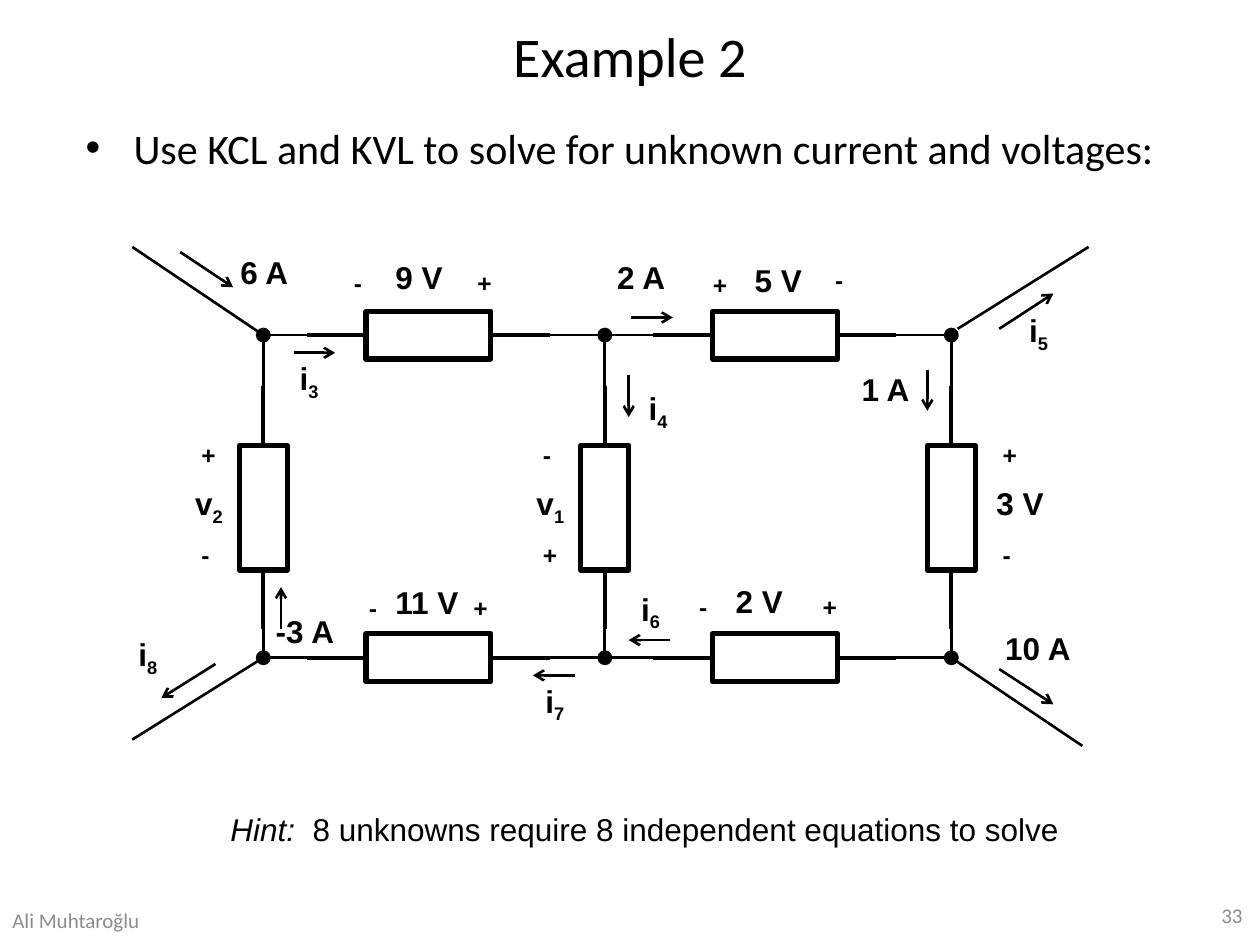
"""Build a circuit exercise slide on Kirchhoff's current and voltage laws."""
import pptx
import pptx.dml.color
import pptx.enum.shapes
import pptx.enum.text
import pptx.oxml.ns
import pptx.util
from lxml import etree
from pptx.util import Inches

BLACK = pptx.dml.color.RGBColor(0x00, 0x00, 0x00)
WHITE = pptx.dml.color.RGBColor(0xFF, 0xFF, 0xFF)
GREY = pptx.dml.color.RGBColor(0x8C, 0x8C, 0x8C)

COLUMNS = (2.09, 4.8, 7.55)
ROWS = (2.66, 5.22)
RESISTOR_X = (3.4, 6.15)
RESISTOR_Y = 4.03
LENGTH, THICKNESS, LEAD = 0.99, 0.38, 0.47
NODE = 0.09

LABEL_WIDTHS = {"-": 0.3, "+": 0.36, "11 V": 0.81, "10 A": 0.83, "-3 A": 0.76}
BRANCH_LABELS = (
    (1.45, "+", "v_2", "-"), (4.16, "-", "v_1", "+"), (7.81, "+", "3 V", "-"),
)
VOLTAGES = (
    ("9 V", 3.04, 2), ("5 V", 5.89, 2.02), ("11 V", 3.04, 4.58), ("2 V", 5.74, 4.57),
)
SIGNS = (
    ("-", 2.71, 2.08), ("+", 3.69, 2.08), ("+", 5.56, 2.09), ("-", 6.53, 2.05),
    ("-", 2.83, 4.66), ("+", 3.66, 4.66), ("-", 5.45, 4.65), ("+", 6.43, 4.65),
)
CURRENTS = (
    ("6 A", (1.81, 1.96), (1.43, 2), (1.85, 2.28)),
    ("2 A", (4.8, 2), (5.01, 2.52), (5.34, 2.52)),
    ("1 A", (6.74, 2.89), (7.36, 2.94), (7.36, 3.26)),
    ("-3 A", (2.09, 4.81), (2.23, 4.99), (2.23, 4.66)),
    ("10 A", (7.88, 4.94), (7.93, 5.31), (8.36, 5.59)),
    ("i_3", (2.28, 2.8), (2.33, 2.8), (2.66, 2.8)),
    ("i_4", (5.05, 3.04), (4.99, 2.98), (4.99, 3.31)),
    ("i_5", (8.07, 2.42), (7.93, 2.61), (8.36, 2.33)),
    ("i_6", (4.99, 4.63), (5.32, 5.08), (4.99, 5.08)),
    ("i_7", (4.23, 5.36), (4.56, 5.36), (4.23, 5.36)),
    ("i_8", (1, 4.99), (1.71, 5.27), (1.28, 5.54)),
)
OUTER_WIRES = (
    ((1.05, 1.96), (2.09, 2.66)), ((7.6, 2.61), (8.64, 1.96)),
    ((1.05, 5.87), (2.09, 5.22)), ((7.55, 5.22), (8.59, 5.92)),
)


def place(shape, left, top, width, height):
    """Move and size a shape, in inches."""
    shape.left, shape.top = Inches(left), Inches(top)
    shape.width, shape.height = Inches(width), Inches(height)


def write(paragraph, text, size=18, font="Arial", color=BLACK, bold=False,
          italic=False, subscript=False):
    """Append a formatted run to a paragraph."""
    run = paragraph.add_run()
    run.text = text
    run.font.size = pptx.util.Pt(size)
    run.font.name = font
    run.font.color.rgb = color
    run.font.bold = bold
    run.font.italic = italic
    if subscript:
        run.font._element.set("baseline", "-25000")


def add_box(slide, left, top, width, height, wrap=False):
    """Add an empty text box and return it."""
    box = slide.shapes.add_textbox(*map(Inches, (left, top, width, height)))
    box.text_frame.word_wrap = wrap
    if not wrap:
        box.text_frame.auto_size = pptx.enum.text.MSO_AUTO_SIZE.SHAPE_TO_FIT_TEXT
    return box


def add_label(slide, text, left, top):
    """Add a bold circuit label, with any part after an underscore lowered."""
    sign = text in "+-"
    symbol, _, index = text.partition("_")
    default = {"i": 0.42, "v": 0.5}.get(symbol, 0.67)
    width = LABEL_WIDTHS.get(text, default)
    box = add_box(slide, left, top, width, 0.38 if sign else 0.45)
    paragraph = box.text_frame.paragraphs[0]
    write(paragraph, symbol, size=14 if sign else 18, bold=True)
    if index:
        write(paragraph, index, bold=True, subscript=True)


def add_footer(slide, text, left, top, width, align):
    """Add a small grey footer text."""
    frame = add_box(slide, left, top, width, 0.4, wrap=True).text_frame
    frame.vertical_anchor = pptx.enum.text.MSO_ANCHOR.MIDDLE
    frame.paragraphs[0].alignment = align
    write(frame.paragraphs[0], text, size=12, font="Calibri", color=GREY)


def add_line(slide, start, end, width=1.5, arrow=False):
    """Add a straight black line, optionally with an arrowhead at its end."""
    line = slide.shapes.add_connector(
        pptx.enum.shapes.MSO_CONNECTOR.STRAIGHT, *map(Inches, (*start, *end)))
    line.line.color.rgb = BLACK
    line.line.width = pptx.util.Pt(width)
    qn = pptx.oxml.ns.qn
    if arrow:
        etree.SubElement(line.line._get_or_add_ln(), qn("a:tailEnd"), type="arrow")
    etree.SubElement(line._element.spPr, qn("a:effectLst"))


def add_solid(slide, kind, center, width, height, fill, line_width):
    """Add a black-outlined preset shape around a center point."""
    left, top = center[0] - width / 2, center[1] - height / 2
    solid = slide.shapes.add_shape(kind, *map(Inches, (left, top, width, height)))
    solid.shadow.inherit = False
    solid.fill.solid()
    solid.fill.fore_color.rgb = fill
    solid.line.color.rgb = BLACK
    solid.line.width = pptx.util.Pt(line_width)


def add_resistor(slide, center, start, end, vertical=False):
    """Add a resistor with leads and wires to the nodes at start and end."""
    along = (0, 1) if vertical else (1, 0)
    for node, side in ((start, -1), (end, 1)):
        edge, tip = (
            tuple(c + side * a * reach for c, a in zip(center, along))
            for reach in (LENGTH / 2, LENGTH / 2 + LEAD))
        add_line(slide, node, edge)
        add_line(slide, edge, tip, width=2.25)
    size = (THICKNESS, LENGTH) if vertical else (LENGTH, THICKNESS)
    add_solid(slide, pptx.enum.shapes.MSO_SHAPE.RECTANGLE, center, *size, WHITE, 3)


def add_circuit(slide):
    """Draw resistors, outer wires and nodes on the grid."""
    for row in ROWS:
        for x, left, right in zip(RESISTOR_X, COLUMNS, COLUMNS[1:]):
            add_resistor(slide, (x, row), (left, row), (right, row))
    for x in COLUMNS:
        add_resistor(slide, (x, RESISTOR_Y), (x, ROWS[0]), (x, ROWS[1]), vertical=True)
    for start, end in OUTER_WIRES:
        add_line(slide, start, end)
    for x in COLUMNS:
        for y in ROWS:
            add_solid(slide, pptx.enum.shapes.MSO_SHAPE.OVAL, (x, y), NODE, NODE, BLACK, 2)


def add_labels(slide):
    """Write voltages, polarities and currents beside their branches."""
    for left, upper, voltage, lower in BRANCH_LABELS:
        add_label(slide, upper, left + 0.05, 3.44)
        add_label(slide, voltage, left, 3.79)
        add_label(slide, lower, left + 0.05, 4.24)
    for label in VOLTAGES + SIGNS:
        add_label(slide, *label)
    for current, position, start, end in CURRENTS:
        add_line(slide, start, end, arrow=True)
        add_label(slide, current, *position)


def add_heading(slide):
    """Fill the title and body placeholders."""
    title, task = slide.shapes.title, slide.placeholders[1]
    place(title, 0.5, 0.13, 9, 0.62)
    write(title.text_frame.paragraphs[0], "Example 2", size=32, font="Calibri")
    place(task, 0.58, 0.92, 9, 6.29)
    paragraph = task.text_frame.paragraphs[0]
    write(paragraph, "Use KCL and KVL to solve for unknown current and voltages:",
          size=24, font="Calibri")
    properties = paragraph._p.get_or_add_pPr()
    properties.set("marL", str(Inches(0.38)))
    properties.set("indent", str(Inches(-0.38)))


def main():
    """Assemble and save the slide."""
    deck = pptx.Presentation()
    deck.slide_width, deck.slide_height = Inches(10), Inches(7.5)
    slide = deck.slides.add_slide(deck.slide_layouts[1])
    add_heading(slide)
    add_circuit(slide)
    add_labels(slide)
    hint = add_box(slide, 1.73, 6.38, 6.84, 0.4).text_frame.paragraphs[0]
    write(hint, "Hint:  ", italic=True)
    write(hint, "8 unknowns require 8 independent equations to solve")
    add_footer(slide, "33", 7.29, 7.06, 2.67, pptx.enum.text.PP_ALIGN.RIGHT)
    add_footer(slide, "Ali Muhtaroğlu", 0, 7.1, 1.38, pptx.enum.text.PP_ALIGN.LEFT)
    deck.save("out.pptx")


if __name__ == "__main__":
    main()
